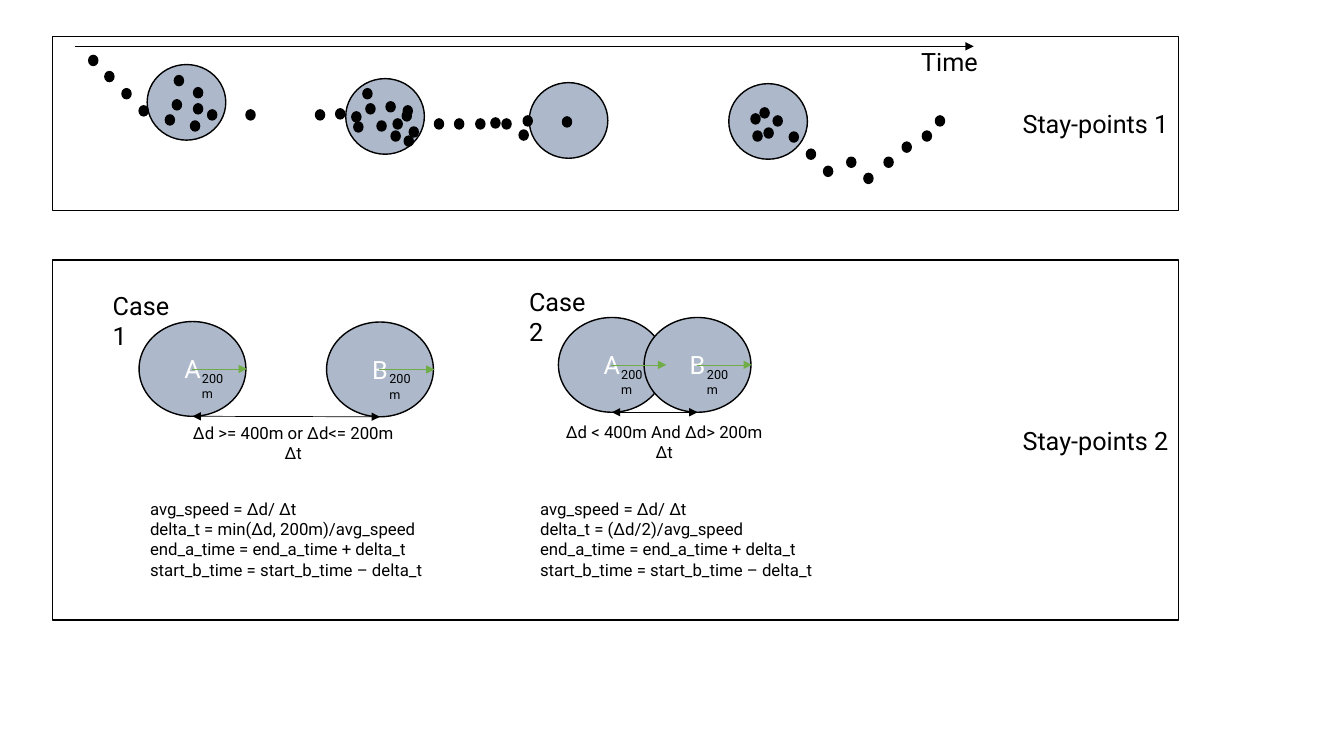
import dataclasses

import pptx
import pptx.dml.color
import pptx.enum.shapes
import pptx.enum.text
import pptx.oxml
import pptx.oxml.ns
import pptx.util

ALIGN = pptx.enum.text.PP_ALIGN
SHAPE = pptx.enum.shapes.MSO_SHAPE
CELL = pptx.util.Inches(0.1)  # the slide is a grid of 133.33 columns by 75 rows


@dataclasses.dataclass(frozen=True)
class Theme:
    font: str = "Roboto"
    ink: str = "000000"
    paper: str = "FFFFFF"
    zone: str = "ADB9CA"
    radius: str = "70AD47"
    heading: float = 18
    body: float = 12
    small: float = 9
    outline: float = 1
    arrow: float = 0.5


THEME = Theme()

ZONE_SIZE = (7.8, 7.5)
ZONES = [(72.3, 8.3), (52.5, 8.2), (34.3, 7.8), (14.6, 6.4)]

DOT_SIZE = (0.9, 1)
DOT_TRACKS = {
    "approach": [(8.8, 5.5), (10.4, 7.1), (12.1, 8.8), (13.8, 10.5)],
    "first stay": [(19.2, 8.7), (16.4, 11.4), (17.1, 9.9), (17.3, 7.5),
                   (18.9, 12), (20.6, 10.9), (19.2, 10.3)],
    "first move": [(24.4, 10.9), (31.3, 10.9), (33.3, 10.8)],
    "second stay": [(36, 8.8), (36.3, 10.3), (34.9, 11.1), (38.3, 10.1),
                    (37.4, 12), (35.1, 12.1), (38.8, 13), (40, 10.5),
                    (39.9, 11), (40.6, 12.6), (40.1, 13.5), (39, 11.8)],
    "second move": [(43.1, 11.8), (45.1, 11.8), (47.2, 11.8), (48.7, 11.7),
                    (49.8, 11.8), (51.9, 11.5), (51.5, 12.9)],
    "third stay": [(55.8, 11.6)],
    "fourth stay": [(74.5, 11.3), (76.7, 11.5), (75.8, 12.7), (75.4, 10.7),
                    (74.7, 13)],
    "departure": [(78.3, 13.1), (80, 14.8), (81.7, 16.5), (84, 15.6),
                  (85.7, 17.2), (87.7, 15.6), (89.5, 14.1), (91.5, 13),
                  (92.8, 11.5)],
}


@dataclasses.dataclass(frozen=True)
class Case:
    title: str
    title_at: tuple
    areas: dict
    condition: str
    condition_box: tuple
    delta: str
    formula_left: float


CASES = [
    Case("Case 1", (10.2, 28.3), {"A": (13.8, 31.9), "B": (32.4, 31.95)},
         "∆d >= 400m or ∆d<= 200m", (12.4, 41.4, 28.4, 5),
         "min(∆d, 200m)", 13.9),
    Case("Case 2", (51.5, 27.9), {"A": (55.4, 31.5), "B": (63.9, 31.5)},
         "∆d < 400m And ∆d> 200m", (49.6, 41.3, 27.6, 5),
         "(∆d/2)", 52.6),
]


def cells(*counts):
    return [round(count * CELL) for count in counts]


def rgb(code):
    return pptx.dml.color.RGBColor.from_string(code)


def write(frame, text, size, color, align):
    frame.text = text
    for para in frame.paragraphs:
        para.alignment = align
        for span in para.runs:
            span.font.name = THEME.font
            span.font.size = pptx.util.Pt(size)
            span.font.color.rgb = rgb(color)


def add_figure(page, kind, box, fill, text="", color=THEME.ink,
               align=ALIGN.CENTER):
    """Add an outlined shape, with a heading in it if text is given."""
    figure = page.shapes.add_shape(kind, *cells(*box))
    figure.shadow.inherit = False
    figure.fill.solid()
    figure.fill.fore_color.rgb = rgb(fill)
    figure.line.color.rgb = rgb(THEME.ink)
    figure.line.width = pptx.util.Pt(THEME.outline)
    if text:
        figure.text_frame.vertical_anchor = pptx.enum.text.MSO_ANCHOR.MIDDLE
        write(figure.text_frame, text, THEME.heading, color, align)


def add_label(page, box, text, size, align=ALIGN.LEFT, wrap=True):
    label = page.shapes.add_textbox(*cells(*box))
    frame = label.text_frame
    frame.word_wrap = wrap
    frame.auto_size = pptx.enum.text.MSO_AUTO_SIZE.SHAPE_TO_FIT_TEXT
    write(frame, text, size, THEME.ink, align)
    return frame


def add_arrow(page, start, end, color, both_ends=False):
    arrow = page.shapes.add_connector(
        pptx.enum.shapes.MSO_CONNECTOR.STRAIGHT, *cells(*start, *end))
    arrow.line.color.rgb = rgb(color)
    arrow.line.width = pptx.util.Pt(THEME.arrow)
    line = arrow.line._get_or_add_ln()
    for tag in ["a:headEnd", "a:tailEnd"] if both_ends else ["a:tailEnd"]:
        tip = pptx.oxml.parse_xml(
            f'<{tag} {pptx.oxml.ns.nsdecls("a")} type="triangle"/>')
        line.append(tip)
    arrow._element.spPr.append(pptx.oxml.parse_xml(
        f'<a:effectLst {pptx.oxml.ns.nsdecls("a")}/>'))


def add_panel(page, top, height, title):
    add_figure(page, SHAPE.RECTANGLE, (5.2, top, 111.7, height), THEME.paper,
               title, align=ALIGN.RIGHT)


def add_timeline(page):
    for zone in ZONES:
        add_figure(page, SHAPE.OVAL, (*zone, *ZONE_SIZE), THEME.zone)
    for track in DOT_TRACKS.values():
        for dot in track:
            add_figure(page, SHAPE.OVAL, (*dot, *DOT_SIZE), THEME.ink)
    add_arrow(page, (7.4, 4.6), (96.6, 4.6), THEME.ink)
    add_label(page, (90.4, 4.1, 7.6, 4), "Time", THEME.heading, wrap=False)


def add_case(page, case):
    """Add two 200 m areas, the distance between them and the formulas."""
    for name, corner in case.areas.items():
        add_figure(page, SHAPE.OVAL, (*corner, 10.6, 9.4), THEME.zone, name,
                   THEME.paper)
    for left, top in case.areas.values():
        add_arrow(page, (left + 5.2, top + 4.7), (left + 10.7, top + 4.7),
                  THEME.radius)
        add_label(page, (left + 5.25, top + 4.4, 5, 2.5), "200m", THEME.small)

    ends = [(left + 5.3, top + 9.4) for left, top in case.areas.values()]
    add_arrow(page, *ends, THEME.ink, both_ends=True)
    frame = add_label(page, case.condition_box, f"{case.condition}\n∆t",
                      THEME.body, ALIGN.CENTER)
    for para in frame.paragraphs:
        para.level = 1
        para._p.get_or_add_pPr().set("marL", str(5 * CELL))

    add_label(page, (*case.title_at, 9.3, 4), case.title, THEME.heading)
    formulas = ["avg_speed = ∆d/ ∆t",
                f"delta_t = {case.delta}/avg_speed",
                "end_a_time = end_a_time + delta_t",
                "start_b_time = start_b_time – delta_t"]
    add_label(page, (case.formula_left, 49, 33.4, 9.1), "\n".join(formulas),
              THEME.body)


def main():
    deck = pptx.Presentation()
    deck.slide_width, deck.slide_height = cells(133.33, 75)
    page = deck.slides.add_slide(deck.slide_layouts[6])
    add_panel(page, 25.8, 35.7, "Stay-points 2")
    add_panel(page, 3.6, 17.3, "Stay-points 1")
    add_timeline(page)
    for case in CASES:
        add_case(page, case)
    deck.save("out.pptx")


if __name__ == "__main__":
    main()
